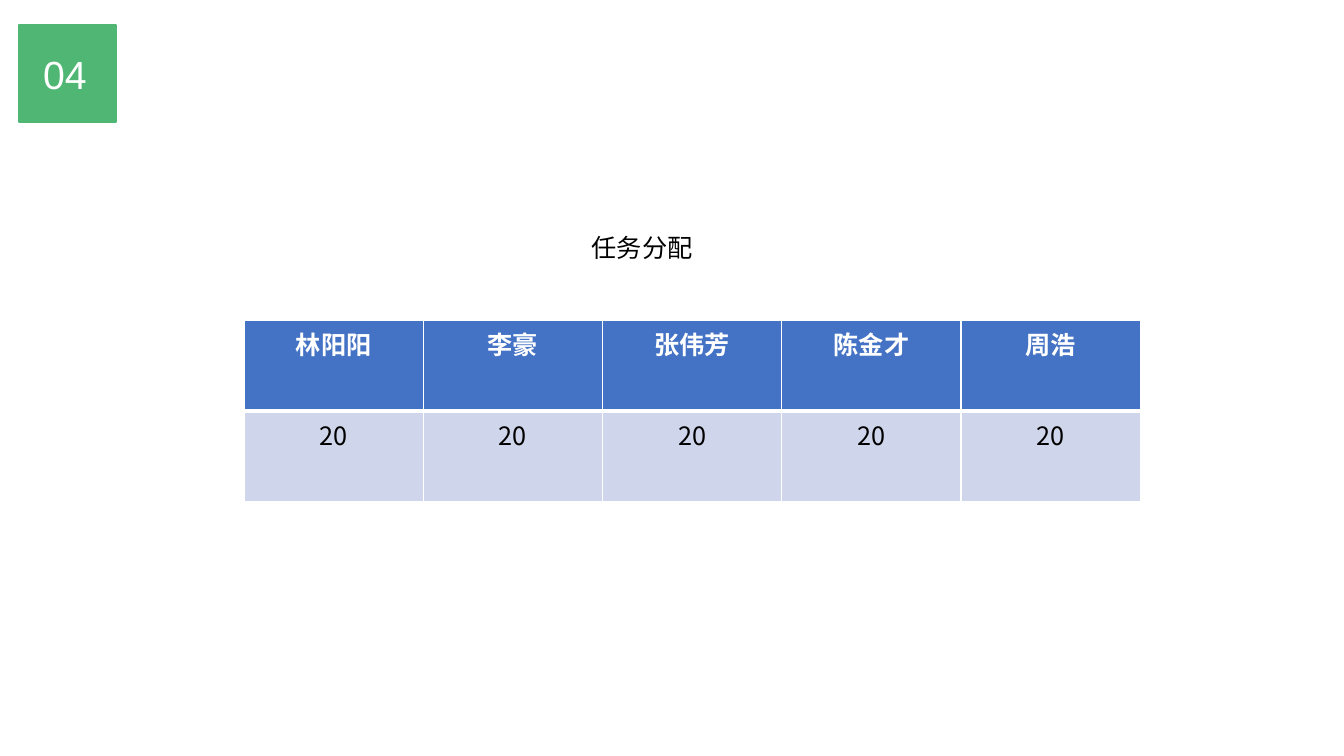
from lxml import etree
from pptx import Presentation
from pptx.dml.color import RGBColor
from pptx.enum import shapes, text
from pptx.oxml import ns
from pptx.util import Inches, Pt

GREEN = RGBColor(0x50, 0xB6, 0x74)
BLUE = RGBColor(0x44, 0x72, 0xC4)
PALE_BLUE = RGBColor(0xCF, 0xD5, 0xEA)
WHITE = RGBColor(0xFF, 0xFF, 0xFF)
BLACK = RGBColor(0x00, 0x00, 0x00)
CHINESE_FONT = "Noto Sans CJK SC"

MEMBERS = ["林阳阳", "李豪", "张伟芳", "陈金才", "周浩"]
SHARES = ["20"] * len(MEMBERS)


def write(frame, words, size, font_name, color, align, bold=False):
    para = frame.paragraphs[0]
    para.text = words
    para.alignment = align
    font = para.font
    font.size = Pt(size)
    font.bold = bold
    font.color.rgb = color
    font.name = font_name
    east_asian = etree.SubElement(para._p.pPr.find(ns.qn("a:defRPr")), ns.qn("a:ea"))
    east_asian.set("typeface", font_name)


def add_label(parent, left, top, width, height, words, size, font_name, color, align):
    box = parent.add_textbox(Inches(left), Inches(top), Inches(width), Inches(height))
    box.text_frame.word_wrap = True
    box.text_frame.auto_size = text.MSO_AUTO_SIZE.SHAPE_TO_FIT_TEXT
    write(box.text_frame, words, size, font_name, color, align)


def add_section_badge(page, number):
    badge = page.shapes.add_group_shape().shapes
    square = badge.add_shape(shapes.MSO_SHAPE.RECTANGLE, Inches(0.19), Inches(0.25),
                             Inches(0.96), Inches(0.96))
    square.shadow.inherit = False
    square.fill.solid()
    square.fill.fore_color.rgb = GREEN
    square.line.color.rgb = GREEN
    square.line.width = Pt(1)
    add_label(badge, 0.33, 0.45, 0.68, 0.57, number, 28, "Arial", WHITE,
              text.PP_ALIGN.JUSTIFY)


def set_borders(cell, top, bottom):
    properties = cell._tc.get_or_add_tcPr()
    for side, width in (("L", 1), ("R", 1), ("T", top), ("B", bottom)):
        line = etree.SubElement(properties, ns.qn(f"a:ln{side}"), w=str(Pt(width)))
        fill = etree.SubElement(line, ns.qn("a:solidFill"))
        etree.SubElement(fill, ns.qn("a:srgbClr"), val=str(WHITE))


def fill_row(table, row, values, background, color, bold, top, bottom):
    table.rows[row].height = Inches(0.9)
    for cell, value in zip(table.rows[row].cells, values):
        set_borders(cell, top, bottom)
        cell.fill.solid()
        cell.fill.fore_color.rgb = background
        write(cell.text_frame, value, 18, CHINESE_FONT, color,
              text.PP_ALIGN.CENTER, bold)


def add_task_table(page):
    table = page.shapes.add_table(2, len(MEMBERS), Inches(2.42), Inches(3.18),
                                  Inches(8.89), Inches(1.79)).table
    fill_row(table, 0, MEMBERS, BLUE, WHITE, True, 1, 3)
    fill_row(table, 1, SHARES, PALE_BLUE, BLACK, False, 3, 1)


def main():
    deck = Presentation()
    deck.slide_width, deck.slide_height = Inches(13.33), Inches(7.5)
    page = deck.slides.add_slide(deck.slide_layouts[6])
    add_section_badge(page, "04")
    add_task_table(page)
    add_label(page.shapes, 5.77, 2.26, 1.93, 0.4, "任务分配", 18, CHINESE_FONT,
              BLACK, text.PP_ALIGN.LEFT)
    deck.save("out.pptx")


if __name__ == "__main__":
    main()
